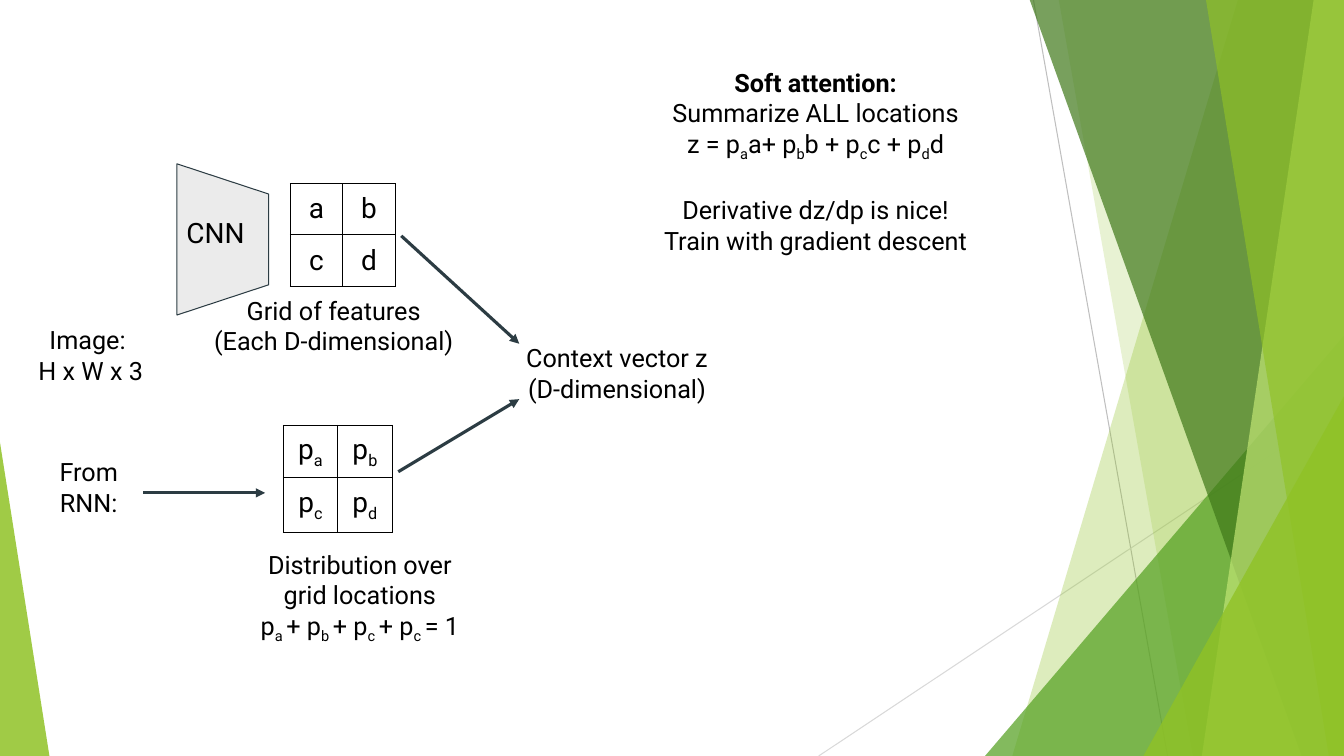
from dataclasses import dataclass

from pptx import Presentation, util as u
from pptx.dml.color import RGBColor
from pptx.enum import shapes, text
from pptx.oxml import parse_xml
from pptx.oxml.ns import nsdecls, qn


@dataclass(frozen=True)
class Theme:
    font: str = "Roboto"
    body_size: int = 18
    cell_size: int = 20
    ink: str = "000000"
    outline: str = "2C3C43"
    trapezoid: str = "EBEBEB"
    lime: str = "90C226"
    pale_lime: str = "C0E474"
    green: str = "54A021"
    dark_green: str = "3F7819"
    light_gray: str = "D9D9D9"
    gray: str = "BFBFBF"
    thin: float = 0.75
    thick: float = 2.25


class AttentionSlide:
    def __init__(self, presentation, theme):
        self.theme = theme
        # Layout 1 has a title and a body placeholder.
        self.slide = presentation.slides.add_slide(presentation.slide_layouts[1])
        self.shapes = self.slide.shapes

    def add_runs(self, paragraph, content, size, bold=False):
        """Add centred text; ~x~ marks a subscript and \\v a line break."""
        paragraph.alignment = text.PP_ALIGN.CENTER
        for index, part in enumerate(content.split("~")):
            for line_number, line in enumerate(part.split("\v")):
                if line_number:
                    paragraph.add_line_break()
                run = paragraph.add_run()
                run.text = line
                run.font.name = self.theme.font
                run.font.size = u.Pt(size)
                run.font.bold = bold
                run.font.color.rgb = RGBColor.from_string(self.theme.ink)
                if index % 2:
                    run.font._element.set("baseline", "-25000")

    def fill_frame(self, shape, lines, size, bold=False, anchor=text.MSO_ANCHOR.TOP):
        frame = shape.text_frame
        frame.word_wrap = True
        frame.auto_size = text.MSO_AUTO_SIZE.NONE
        frame.vertical_anchor = anchor
        frame.margin_left = frame.margin_right = u.Inches(0.1)
        frame.margin_top = frame.margin_bottom = u.Inches(0.1)
        for index, line in enumerate(lines):
            paragraph = frame.add_paragraph() if index else frame.paragraphs[0]
            self.add_runs(paragraph, line, size, bold)
        return frame

    def label(self, box, *lines, size=None, anchor=text.MSO_ANCHOR.TOP):
        shape = self.shapes.add_textbox(*map(u.Inches, box))
        return self.fill_frame(shape, lines, size or self.theme.body_size, anchor=anchor)

    def placeholder(self, shape, box, *lines, bold=False):
        shape.left, shape.top, shape.width, shape.height = map(u.Inches, box)
        frame = self.fill_frame(shape, lines, self.theme.body_size, bold)
        for paragraph in frame.paragraphs:
            paragraph.space_before = u.Pt(0)
            properties = paragraph._p.get_or_add_pPr()
            properties.set("marL", "0")
            properties.set("indent", "0")
            properties.append(parse_xml(f"<a:buNone {nsdecls('a')}/>"))
        return frame

    def paint(self, shape, color, opacity=100):
        shape.shadow.inherit = False
        shape.fill.solid()
        shape.fill.fore_color.rgb = RGBColor.from_string(color)
        shape.line.fill.background()
        if opacity < 100:
            color_element = shape._element.spPr.find(qn("a:solidFill"))[0]
            color_element.append(
                parse_xml(f'<a:alpha {nsdecls("a")} val="{opacity * 1000}"/>'))

    def triangle(self, box, apex, color, opacity):
        shape = self.shapes.add_shape(
            shapes.MSO_SHAPE.ISOSCELES_TRIANGLE, *map(u.Inches, box))
        shape.adjustments[0] = apex
        self.paint(shape, color, opacity)

    def right_band(self, top_x, bottom_x, color, opacity):
        """Fill from a slanted left edge to the right side of the slide."""
        top, right, bottom = -0.01, 13.33, 7.5
        corners = [(right, top), (right, bottom), (bottom_x, bottom)]
        builder = self.shapes.build_freeform(u.Inches(top_x), u.Inches(top))
        builder.add_line_segments([tuple(map(u.Inches, c)) for c in corners], close=True)
        self.paint(builder.convert_to_shape(), color, opacity)

    def trapezoid(self, box):
        shape = self.shapes.add_shape(
            shapes.MSO_SHAPE.FLOWCHART_MANUAL_OPERATION, *map(u.Inches, box))
        shape.rotation = 270
        self.paint(shape, self.theme.trapezoid)
        shape.line.color.rgb = RGBColor.from_string(self.theme.outline)
        shape.line.width = u.Pt(self.theme.thin)

    def line(self, start, end, color, width, arrow=False):
        connector = self.shapes.add_connector(
            shapes.MSO_CONNECTOR.STRAIGHT, *map(u.Inches, (*start, *end)))
        connector.line.color.rgb = RGBColor.from_string(color)
        connector.line.width = u.Pt(width)
        if arrow:
            connector.line._get_or_add_ln().append(
                parse_xml(f'<a:tailEnd {nsdecls("a")} type="triangle"/>'))
        connector._element.spPr.append(parse_xml(f"<a:effectLst {nsdecls('a')}/>"))

    def arrow(self, start, end):
        self.line(start, end, self.theme.outline, self.theme.thick, arrow=True)

    def border(self, cell):
        properties = cell._tc.get_or_add_tcPr()
        for index, side in enumerate(("lnL", "lnR", "lnT", "lnB")):
            properties.insert(index, parse_xml(
                f'<a:{side} {nsdecls("a")} w="{u.Pt(self.theme.thin)}"><a:solidFill>'
                f'<a:srgbClr val="{self.theme.ink}"/></a:solidFill></a:{side}>'))

    def grid(self, left, top, column_width, row_heights, rows):
        table = self.shapes.add_table(
            len(rows), len(rows[0]), u.Inches(left), u.Inches(top),
            u.Inches(column_width * len(rows[0])), u.Inches(sum(row_heights))).table
        table.first_row = table.horz_banding = False
        for column in table.columns:
            column.width = u.Inches(column_width)
        for row, height, values in zip(table.rows, row_heights, rows):
            row.height = u.Inches(height)
            for cell, value in zip(row.cells, values):
                cell.fill.background()
                cell.vertical_anchor = text.MSO_ANCHOR.MIDDLE
                cell.margin_left = cell.margin_right = 0
                cell.margin_top = cell.margin_bottom = 0
                self.add_runs(cell.text_frame.paragraphs[0], value, self.theme.cell_size)
                self.border(cell)


def draw_background(page):
    theme = page.theme
    page.line((10.25, 0), (11.58, 7.5), theme.gray, theme.thin)
    page.line((13.33, 4.03), (8.12, 7.5), theme.light_gray, theme.thin)
    page.right_band(12.28, 10.04, theme.lime, 30)
    page.right_band(10.5, 11.83, theme.lime, 20)
    page.triangle((9.77, 3.33, 3.56, 4.17), 1, theme.green, 72)
    page.right_band(10.21, 12.91, theme.dark_green, 70)
    page.right_band(13.03, 11.92, theme.pale_lime, 70)
    page.right_band(11.96, 13.18, theme.lime, 65)
    page.triangle((11.34, 3.93, 1.99, 3.57), 1, theme.lime, 80)
    page.triangle((0, 4.39, 0.49, 3.11), 0, theme.lime, 85)


def draw_diagram(page):
    page.trapezoid((1.46, 1.92, 1.5, 0.91))
    cnn = page.label((1.75, 2.04, 0.92, 0.67), "CNN", size=page.theme.cell_size)
    cnn.paragraphs[0].alignment = text.PP_ALIGN.LEFT
    page.label((0.25, 3.12, 1.3, 0.91), "Image: \vH x W x 3")
    page.label((2.02, 2.83, 2.58, 1.16), "Grid of features", "(Each D-dimensional)")
    page.grid(2.88, 1.82, 0.52, (0.51, 0.51), ("ab", "cd"))
    page.grid(2.81, 4.22, 0.54, (0.52, 0.54), (("p~a~", "p~b~"), ("p~c~", "p~d~")))
    page.label((2.39, 5.35, 2.36, 1.16),
               "Distribution over grid locations\vp~a ~+ p~b ~+ p~c ~+ p~c ~= 1")
    page.label((0.34, 4.43, 1.08, 0.91), "From RNN:")
    page.label((4.87, 3.12, 2.5, 1.16), "Context vector z\v(D-dimensional)",
               anchor=text.MSO_ANCHOR.MIDDLE)
    page.arrow((1.42, 4.89), (2.63, 4.89))
    page.arrow((3.98, 2.34), (5.15, 3.41))
    page.arrow((3.95, 4.68), (5.15, 3.96))


def main():
    presentation = Presentation()
    presentation.slide_width = u.Inches(13.33)
    presentation.slide_height = u.Inches(7.5)
    page = AttentionSlide(presentation, Theme())
    draw_background(page)
    draw_diagram(page)
    title, body = page.slide.placeholders
    page.placeholder(title, (6.46, 0.57, 3.26, 0.5), "Soft attention:", bold=True)
    summary = page.placeholder(
        body, (6.46, 0.87, 3.26, 2.62),
        "Summarize ALL locations\vz = p~a~a+ p~b~b + p~c~c + p~d~d",
        "Derivative dz/dp is nice!", "Train with gradient descent")
    summary.paragraphs[1].space_before = u.Pt(23)
    presentation.save("out.pptx")


if __name__ == "__main__":
    main()
